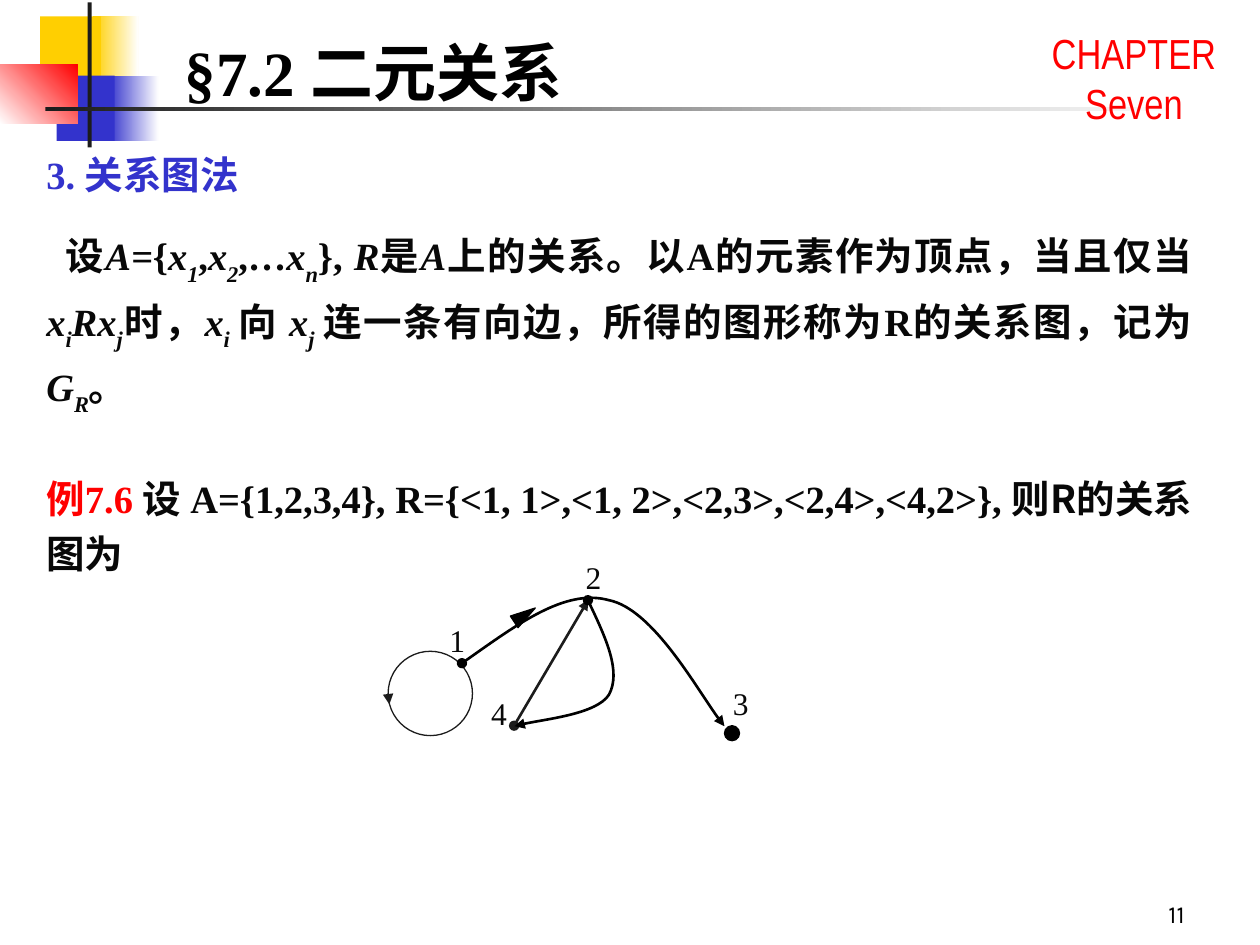
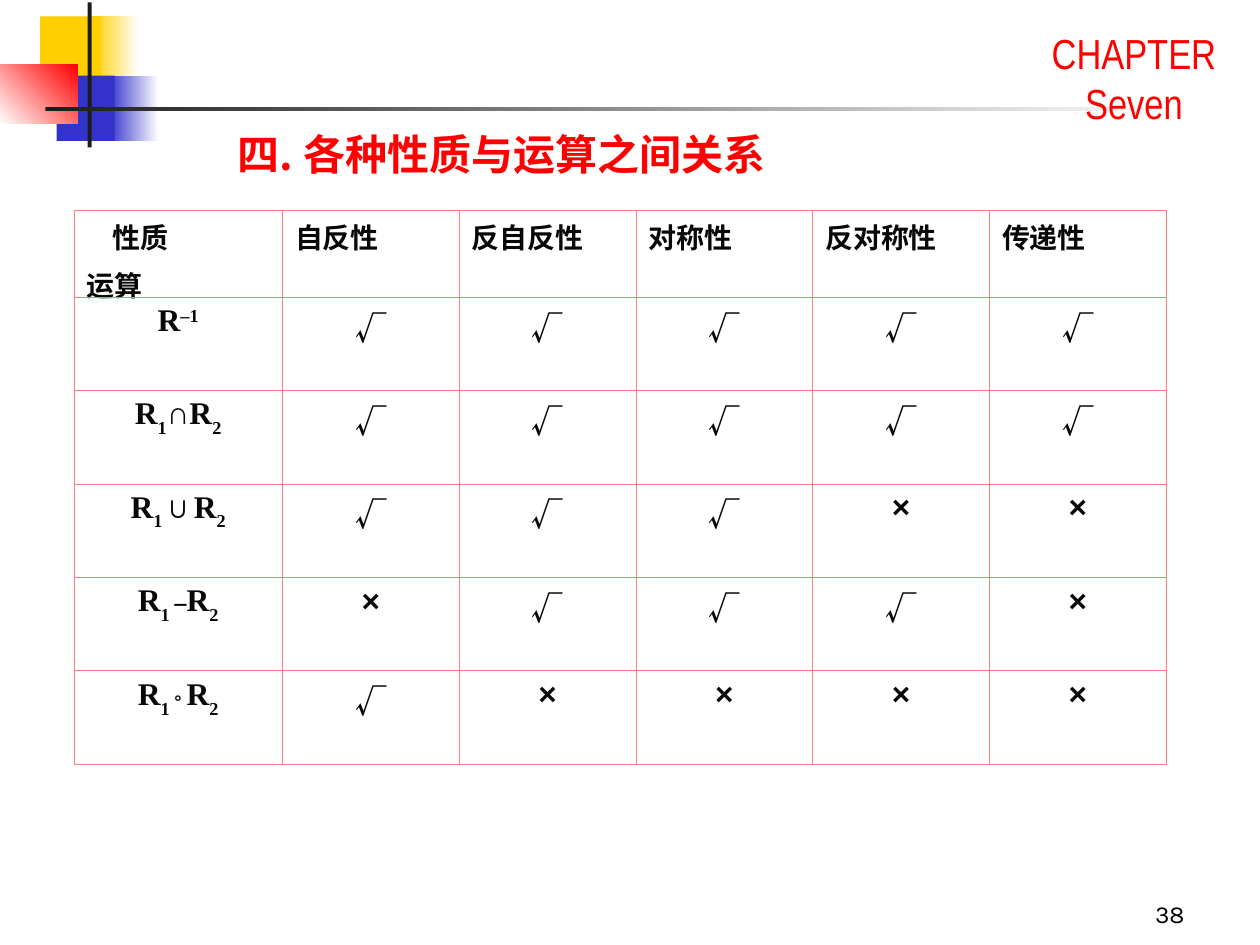
import pptx
import pptx.util
import pptx.dml.color
import pptx.enum.shapes
import pptx.enum.text
import pptx.oxml
import pptx.oxml.ns

Pt = pptx.util.Pt
SHAPE = pptx.enum.shapes.MSO_SHAPE
ALIGN = pptx.enum.text.PP_ALIGN
ANCHOR = pptx.enum.text.MSO_ANCHOR
qn = pptx.oxml.ns.qn

COLORS = {
    "yellow": "FFCF01", "blue": "3333CC", "red": "FF0000", "white": "FFFFFF",
    "charcoal": "1C1C1C", "black": "000000", "body": "080808", "grid": "FF7C80",
}
SERIF, CJK, SANS = "Times New Roman", "Noto Sans CJK SC", "Arial"

# Prefix of a piece of marked-up text -> run format
MARKS = {
    "/": {"italic": True},
    "~": {"italic": True, "baseline": -30},
    "_": {"baseline": -30},
    "^": {"baseline": 30},
}


def rgb(name):
    return pptx.dml.color.RGBColor.from_string(COLORS[name])


def marked(text, **style):
    """Split 'R|_1|...' into runs, one per piece."""
    runs = []
    for piece in text.split("|"):
        mark = MARKS.get(piece[0])
        runs.append((piece[1:] if mark else piece, {**style, **(mark or {})}))
    return runs


# ---- Text ----
def format_run(run, size=18, font=SERIF, color="body", bold=False, italic=False, baseline=0):
    run.font.size = Pt(size)
    run.font.name = font
    run.font.bold = bold
    run.font.italic = italic
    run.font.color.rgb = rgb(color)
    properties = run.font._element
    if baseline:
        properties.set("baseline", str(baseline * 1000))
    east_asian = properties.makeelement(qn("a:ea"), {"typeface": CJK})
    properties.find(qn("a:latin")).addnext(east_asian)


def write_paragraph(paragraph, runs, align=ALIGN.LEFT, before=0, spacing=None, indent=0, **style):
    """Runs are a plain string or a list of (text, format) pairs."""
    paragraph.alignment = align
    if before:
        paragraph.space_before = Pt(before)
    if spacing:
        paragraph.line_spacing = spacing
    if indent:
        paragraph._p.get_or_add_pPr().set("indent", str(Pt(indent)))
    for text, own in [(runs, {})] if isinstance(runs, str) else runs:
        run = paragraph.add_run()
        run.text = text
        format_run(run, **{**style, **own})


def add_text(slide, box, runs, anchor=ANCHOR.TOP, wrap=True, inset=(7.2, 3.6), **style):
    frame = slide.shapes.add_textbox(*map(Pt, box)).text_frame
    frame.word_wrap = wrap
    frame.vertical_anchor = anchor
    frame.margin_left = frame.margin_right = Pt(inset[0])
    frame.margin_top = frame.margin_bottom = Pt(inset[1])
    write_paragraph(frame.paragraphs[0], runs, **style)
    return frame


# ---- Shapes and lines ----
def add_preset(slide, preset, box, fill=None, fade=None, angle=0, line=None):
    shape = slide.shapes.add_shape(preset, *map(Pt, box))
    shape.shadow.inherit = False
    if fade:
        shape.fill.gradient()
        shape.fill.gradient_angle = angle
        for stop, color in zip(shape.fill.gradient_stops, (fill, fade)):
            stop.color.rgb = rgb(color)
    elif fill:
        shape.fill.solid()
        shape.fill.fore_color.rgb = rgb(fill)
    else:
        shape.fill.background()
    if line:
        shape.line.color.rgb = rgb(line)
        shape.line.width = Pt(0.75)
    else:
        shape.line.fill.background()
    return shape


def style_line(line, color, width, head=None, tail=None):
    line.color.rgb = rgb(color)
    line.width = Pt(width)
    ln = line._get_or_add_ln()
    for tag, kind in (("a:headEnd", head), ("a:tailEnd", tail)):
        if kind:
            ln.append(ln.makeelement(qn(tag), {"type": kind}))


def add_line(slide, start, end, color, width, head=None, tail=None):
    edge = slide.shapes.add_connector(
        pptx.enum.shapes.MSO_CONNECTOR.STRAIGHT, *map(Pt, start + end))
    style_line(edge.line, color, width, head, tail)
    properties = edge._element.spPr
    properties.append(properties.makeelement(qn("a:effectLst"), {}))


def add_curve(slide, points, color, width):
    """Directed edge through cubic Bezier points: start, then triples."""
    builder = slide.shapes.build_freeform(*points[0], scale=Pt(1))
    builder.add_line_segments(points[1:], close=False)
    edge = builder.convert_to_shape()
    edge.shadow.inherit = False
    edge.fill.background()
    style_line(edge.line, color, width, head="oval", tail="triangle")
    segments = list(edge._element.iter(qn("a:lnTo")))
    for first in range(0, len(segments), 3):
        cubic = segments[first].makeelement(qn("a:cubicBezTo"), {})
        segments[first].addprevious(cubic)
        for segment in segments[first:first + 3]:
            cubic.append(segment[0])
            segment.getparent().remove(segment)


# ---- Table ----
def add_borders(cell, color, width):
    properties = cell._tc.get_or_add_tcPr()
    for position, side in enumerate(("a:lnL", "a:lnR", "a:lnT", "a:lnB")):
        border = properties.makeelement(qn(side), {"w": str(Pt(width))})
        fill = pptx.oxml.parse_xml(
            f'<a:solidFill {pptx.oxml.ns.nsdecls("a")}><a:srgbClr val="{COLORS[color]}"/></a:solidFill>')
        border.append(fill)
        properties.insert(position, border)


def add_grid(slide, box, widths, heights, rows):
    """Each cell is a list of paragraphs, each a dict for write_paragraph."""
    table = slide.shapes.add_table(len(rows), len(widths), *map(Pt, box)).table
    table.first_row = table.horz_banding = False
    for column, width in zip(table.columns, widths):
        column.width = Pt(width)
    for row, height in zip(table.rows, heights):
        row.height = Pt(height)
    for row, contents in zip(table.rows, rows):
        for cell, paragraphs in zip(row.cells, contents):
            cell.fill.background()
            add_borders(cell, "grid", 0.45)
            for index, content in enumerate(paragraphs):
                frame = cell.text_frame
                paragraph = frame.add_paragraph() if index else frame.paragraphs[0]
                write_paragraph(paragraph, bold=True, **content)


# ---- Shared slide frame ----
def new_slide(deck, number):
    slide = deck.slides.add_slide(deck.slide_layouts[6])
    for box, fill, fade, angle in (
        ((53.3, 9.4, 25.9, 37.4), "yellow", "white", 0),
        ((61.9, 43.2, 28.8, 37.4), "blue", "white", 0),
        ((23, 9.4, 34.6, 37.4), "yellow", None, 0),
        ((32.4, 43.2, 33.1, 37.4), "blue", None, 0),
        ((0, 37.1, 44.4, 33.6), "white", "red", 45),
        ((50, 1.4, 2.4, 82.8), "charcoal", None, 0),
        ((25.9, 61.1, 648, 2.6), "charcoal", "white", 0),
    ):
        add_preset(slide, SHAPE.RECTANGLE, box, fill, fade, angle)
    add_text(slide, (576, 12.2, 144, 64.8), "CHAPTER Seven", align=ALIGN.CENTER,
             size=24, font="Arial Narrow", color="red")
    add_text(slide, (534.2, 498.2, 149.8, 36), str(number), anchor=ANCHOR.BOTTOM,
             align=ALIGN.RIGHT, size=14, font="Karla", color="black")
    return slide


# ---- Relation graph ----
def draw_relation_graph(slide):
    vertex_1, vertex_2, vertex_4 = (264.2, 378.7), (336.2, 342.7), (293.8, 414.7)
    add_preset(slide, SHAPE.OVAL, (414, 414.7, 8.6, 8.6), "black", line="black")
    for label, left, top in (("1", 246.2, 355), ("2", 324, 319), ("4", 270, 396.7), ("3", 408.2, 391)):
        add_text(slide, (left, top, 30.2, 21.6), label, anchor=ANCHOR.MIDDLE,
                 inset=(0, 0), align=ALIGN.CENTER)
    # Loop at 1
    add_line(slide, (221.8, 396.7), (222.5, 402.5), "charcoal", 0.75, tail="triangle")
    add_preset(slide, SHAPE.OVAL, (221.8, 372.2, 48.2, 48.2), line="charcoal")
    # Edges 4 -> 2, 2 -> 4 and 1 -> 2 -> 3
    add_line(slide, vertex_2, vertex_4, "charcoal", 1.5, head="triangle", tail="oval")
    add_curve(slide, [vertex_2, (345.6, 363.6), (355, 384.5), (347.8, 396.7),
                      (341.3, 408.2), (303.1, 411.8), vertex_4], "black", 1.5)
    add_curve(slide, [vertex_1, (293.8, 357.8), (323.3, 336.2), (347.8, 342.7),
                      (373, 348.5), (403.2, 402.5), (414, 414.7)], "black", 1.5)
    arrow = add_preset(slide, SHAPE.ISOSCELES_TRIANGLE, (295.9, 344.2, 7.9, 14.4), "black", line="black")
    arrow.rotation = 56.7


def build_graph_slide(deck):
    slide = new_slide(deck, 11)
    body = add_text(slide, (19.4, 82.8, 668.9, 250.6),
                    [("3. ", {}), ("关系图法", {"font": CJK})],
                    align=ALIGN.JUSTIFY, size=22, color="blue", bold=True)
    definition = marked(
        "设|/A=|{|/x|~1|,|/x|~2|,…|/x|~n|}, |/R|是|/A|上的关系。以A的元素作为顶点，当且仅当|"
        "/x|~i|/Rx|~j|时，|/x|~i |向 |/x|~j |连一条有向边，所得的图形称为R的关系图，记为|/G|~R|。")
    example = [
        ("例", {"font": CJK, "color": "red"}), ("7.6 ", {"color": "red"}), ("设 ", {"font": CJK}),
        ("A={1,2,3,4}, R={<1, 1>,<1, 2>,<2,3>,<2,4>,<4,2>}, ", {}), ("则R的关系图为", {"font": CJK}),
    ]
    for runs, before, indent in ((definition, 13.8, 11), (example, 27.5, 0)):
        write_paragraph(body.add_paragraph(), runs, align=ALIGN.JUSTIFY, before=before,
                        spacing=1.2, indent=indent, size=22, bold=True)
    draw_relation_graph(slide)
    add_text(slide, (98.6, 15.8, 239, 50.4), "§7.2 二元关系", wrap=False,
             size=36, color="black", bold=True)


# ---- Properties against operations ----
def build_table_slide(deck):
    slide = new_slide(deck, 38)
    add_text(slide, (128.9, 69.8, 452.2, 36), "四. 各种性质与运算之间关系",
             align=ALIGN.JUSTIFY, size=24, font=CJK, color="red", bold=True)
    heading = {"size": 16, "font": CJK}
    corner = [{"runs": "性质", "indent": 15, **heading}, {"runs": "运算", "before": 4, **heading}]
    header = [[{"runs": name, "align": ALIGN.JUSTIFY, **heading}]
              for name in ("自反性", "反自反性", "对称性", "反对称性", "传递性")]
    operations = (
        (marked("R|^–1"), "√√√√√"),
        (marked("R|_1|∩R|_2"), "√√√√√"),
        (marked("R|_1|∪R|_2"), "√√√××"),
        (marked("R|_1 ") + [("–", {"size": 14, "font": "TeX Gyre Pagella"})] + marked("R|_2"), "×√√√×"),
        (marked("R|_1 ") + [("° ", {"font": SANS, "baseline": -10})] + marked("R|_2"), "√××××"),
    )
    rows = [[corner] + header]
    for operation, verdicts in operations:
        cells = [[{"runs": operation, "align": ALIGN.CENTER}]]
        for verdict in verdicts:
            font = CJK if verdict == "√" else SANS
            cells.append([{"runs": verdict, "align": ALIGN.CENTER, "font": font}])
        rows.append(cells)
    add_grid(slide, (42.2, 120.2, 624.2, 316.1), [119.2] + [101] * 5, [49.1] + [53.4] * 5, rows)


def main():
    deck = pptx.Presentation()
    deck.slide_width, deck.slide_height = Pt(720), Pt(540)
    build_graph_slide(deck)
    build_table_slide(deck)
    deck.save("out.pptx")


if __name__ == "__main__":
    main()
